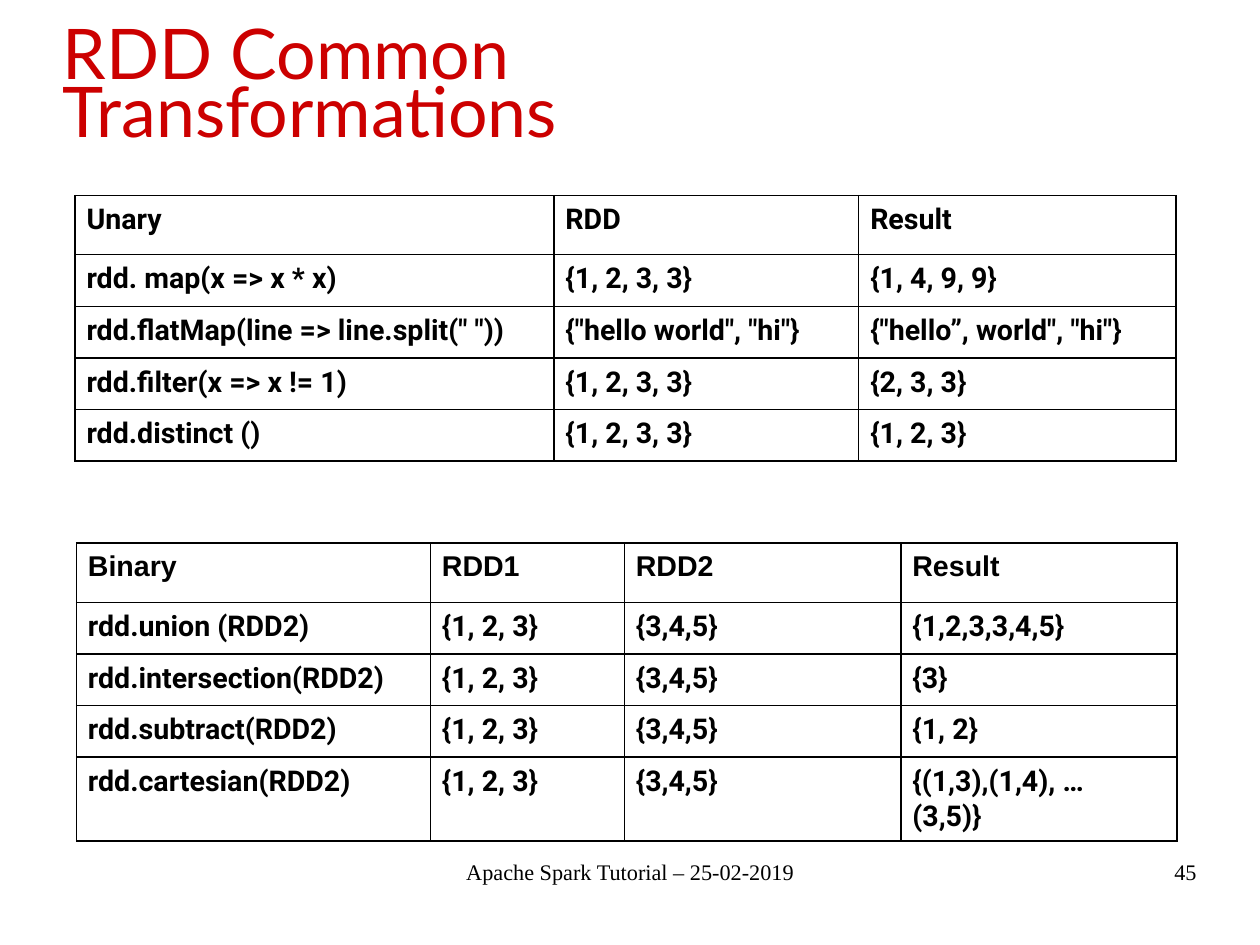
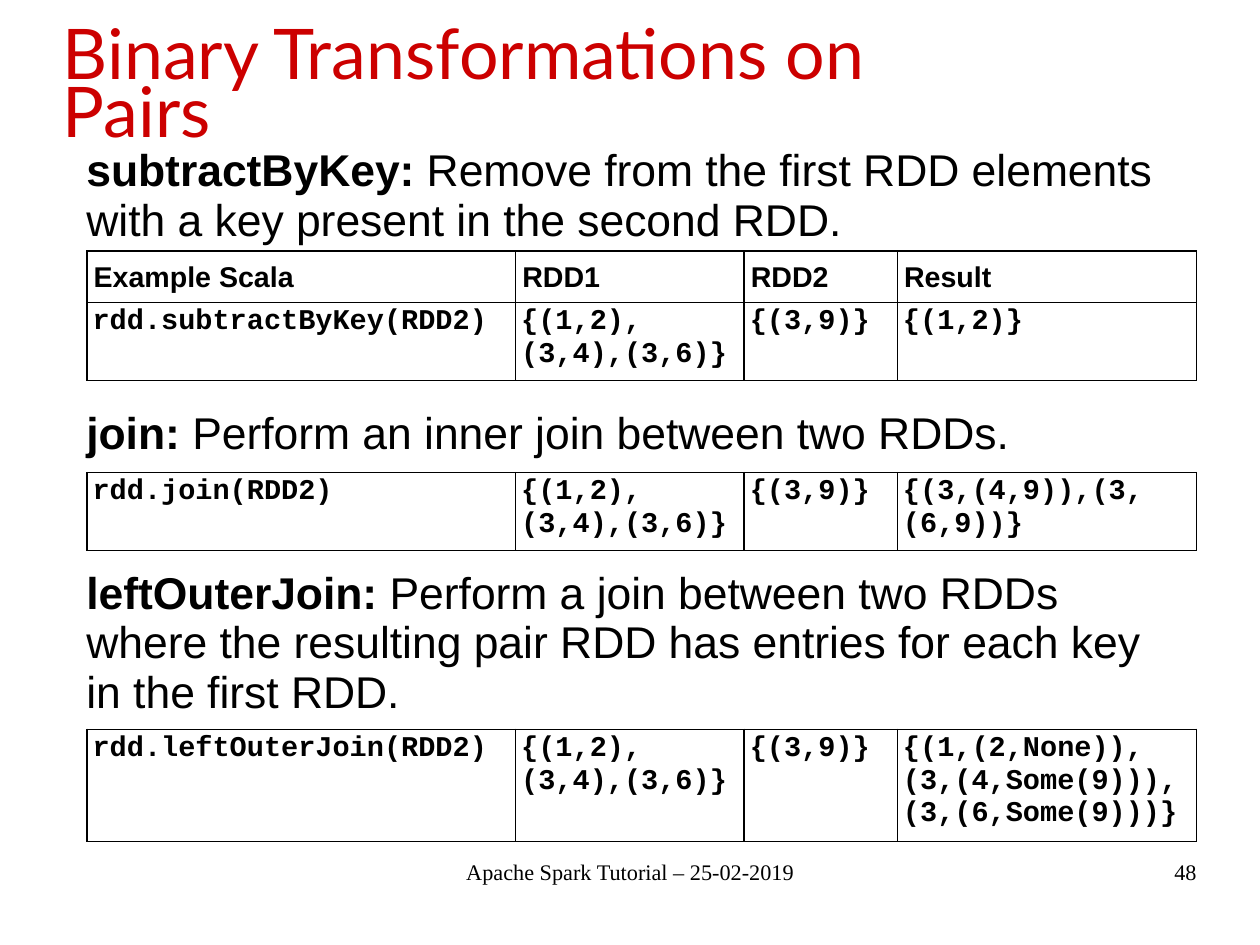
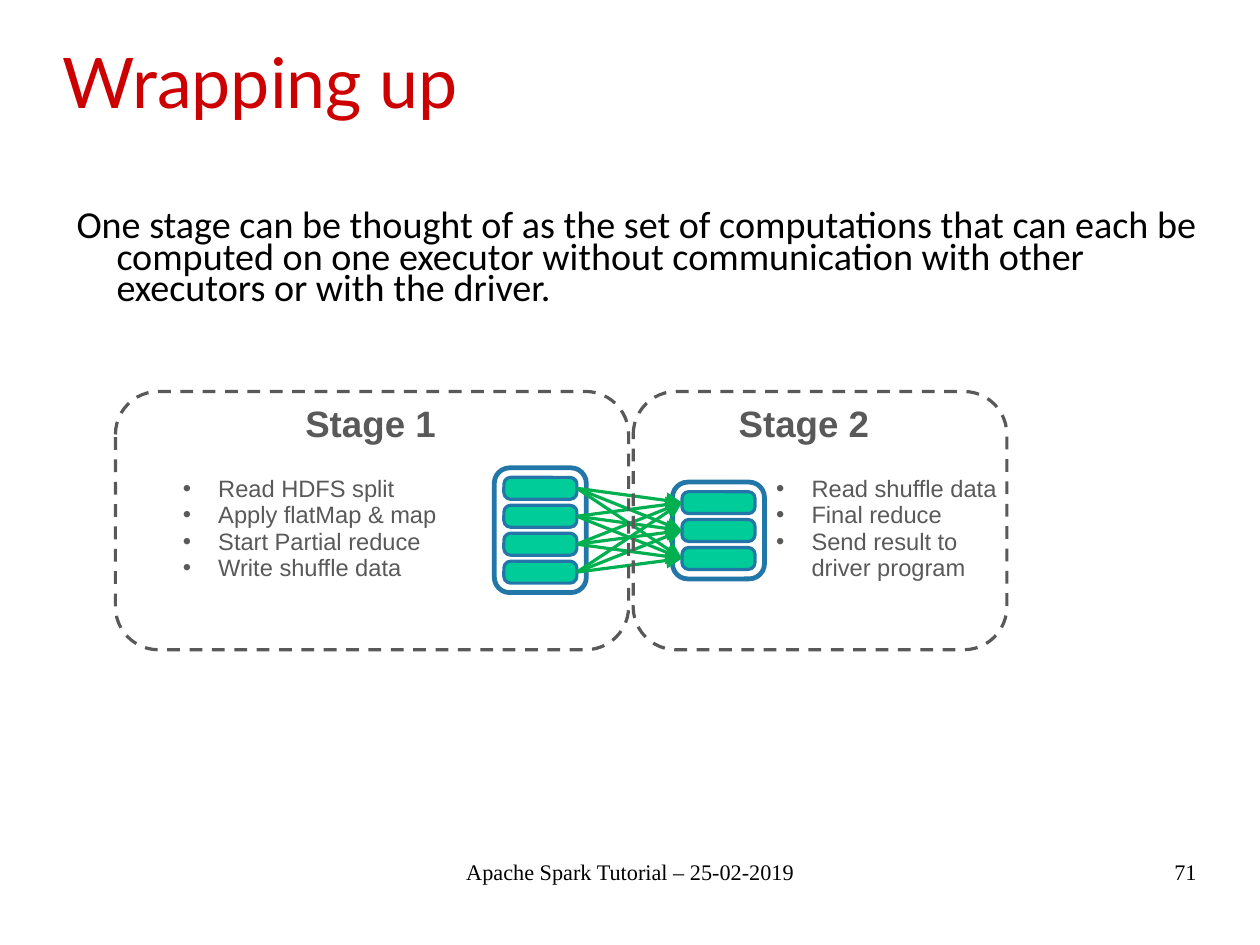
from lxml import etree
from pptx import Presentation
from pptx.dml.color import RGBColor
from pptx.enum import dml, shapes, text
from pptx.oxml import ns
from pptx.util import Pt

BLACK = RGBColor(0x00, 0x00, 0x00)
RED = RGBColor(0xCC, 0x00, 0x00)
GREY = RGBColor(0x59, 0x59, 0x59)
BLUE = RGBColor(0x22, 0x77, 0xA8)
MINT = RGBColor(0x00, 0xCC, 0x99)
GREEN = RGBColor(0x00, 0xB0, 0x50)

LEFT, CENTER, RIGHT = text.PP_ALIGN.LEFT, text.PP_ALIGN.CENTER, text.PP_ALIGN.RIGHT


def write(frame, paragraphs, font, size, color=BLACK, spacing=1.0, align=LEFT,
          indent=(0, 0), bullet=False):
    """Fill a frame; each paragraph is a list of (words, bold), "\\v" breaks a line."""
    for number, runs in enumerate(paragraphs):
        paragraph = frame.add_paragraph() if number else frame.paragraphs[0]
        props = paragraph._p.get_or_add_pPr()
        if any(indent):
            props.set("marL", str(Pt(indent[0])))
            props.set("indent", str(Pt(indent[1])))
        if bullet:
            tint = etree.SubElement(props, ns.qn("a:buClr"))
            etree.SubElement(tint, ns.qn("a:srgbClr"), val=str(color))
            etree.SubElement(props, ns.qn("a:buFont"), typeface=font)
            etree.SubElement(props, ns.qn("a:buChar"), char="•")
        paragraph.alignment = align
        paragraph.line_spacing = spacing
        for words, bold in runs:
            for line, part in enumerate(words.split("\v")):
                if line:
                    paragraph.add_line_break()
                run = paragraph.add_run()
                run.text = part
                run.font.name, run.font.size, run.font.bold = font, Pt(size), bold
                run.font.color.rgb = color


def text_box(slide, at, paragraphs, *style, insets=(0, 0), **options):
    """Add a wrapping text box; insets are (sides, top and bottom)."""
    frame = slide.shapes.add_textbox(*map(Pt, at)).text_frame
    frame.word_wrap = True
    frame.margin_left = frame.margin_right = Pt(insets[0])
    frame.margin_top = frame.margin_bottom = Pt(insets[1])
    write(frame, paragraphs, *style, **options)


prs = Presentation()
prs.slide_width, prs.slide_height = Pt(793.7), Pt(595.28)

# Title, footer and page number of every slide
pages = []
for heading, page_number in [("RDD Common \vTransformations", "45"),
                             ("Binary Transformations on \vPairs", "48"),
                             ("Wrapping up", "71")]:
    slide = prs.slides.add_slide(prs.slide_layouts[5])
    title = slide.shapes.title
    title.left, title.top, title.width, title.height = map(Pt, (39.6, 0.7, 714.2, 99.4))
    frame = title.text_frame
    frame.auto_size = text.MSO_AUTO_SIZE.NONE
    frame.vertical_anchor = text.MSO_ANCHOR.MIDDLE
    frame.margin_left = frame.margin_right = frame.margin_bottom = 0
    frame.margin_top = Pt(13.7)
    write(frame, [[(heading, False)]], "Lato", 44, RED, 0.69)
    text_box(slide, (271.4, 540.5, 251.3, 41), [[("Apache Spark Tutorial – 25-02-2019", False)]],
             "Times New Roman", 14, align=CENTER)
    text_box(slide, (568.8, 540.5, 185, 41), [[(page_number, False)]],
             "Times New Roman", 14, align=RIGHT)
    pages.append(slide)
common, pairs, wrap_up = pages

# Descriptions of the operations on pairs
for top, height, operation, meaning in [
        (89, 70, "subtractByKey:",
         " Remove from the first RDD elements with a key present in the second RDD."),
        (254.5, 40, "join:", " Perform an inner join between two RDDs."),
        (355.3, 100, "leftOuterJoin:",
         " Perform a join between two RDDs where the resulting pair RDD has entries "
         "for each key in the first RDD.")]:
    text_box(pairs, (47.3, top, 706.3, height), [[(operation, True), (meaning, False)]],
             "Arial", 28, spacing=0.93, insets=(7.2, 3.6))

# Tables: cell styles are font, line spacing, side, top and bottom inset
ROBOTO = ("Roboto", 1.06, 7.2, 3.6, 3.6)
ARIAL = ("Arial", 1.06, 7.2, 3.6, 3.6)
ARIAL_TIGHT = ("Arial", 1.1, 4.3, 4.3, 4.3)
CODE = ("Courier New", 1.0, 3.6, 2.3, 3.6)
PAIR_COLUMNS = (270, 144, 96.5, 188.6)
FIRST, SECOND = "{(1,2),(3,4),(3,6)}", "{(3,9)}"

tables = [
    (common, 47.3, 123.1, (301.7, 192, 199.8), (37.4, 32.5, 32.5, 32.5, 32.5), ROBOTO, ROBOTO, [
        ("Unary", "RDD", "Result"),
        ("rdd. map(x => x * x)", "{1, 2, 3, 3}", "{1, 4, 9, 9}"),
        ('rdd.flatMap(line => line.split(" "))', '{"hello world", "hi"}',
         '{"hello”, world", "hi"}'),
        ("rdd.filter(x => x != 1)", "{1, 2, 3, 3}", "{2, 3, 3}"),
        ("rdd.distinct ()", "{1, 2, 3, 3}", "{1, 2, 3}")]),
    (common, 48.2, 342, (223, 122.2, 174.2, 174), (37.4, 32.5, 32.5, 32.5, 52.5), ARIAL, ROBOTO, [
        ("Binary", "RDD1", "RDD2", "Result"),
        ("rdd.union (RDD2)", "{1, 2, 3}", "{3,4,5}", "{1,2,3,3,4,5}"),
        ("rdd.intersection(RDD2)", "{1, 2, 3}", "{3,4,5}", "{3}"),
        ("rdd.subtract(RDD2)", "{1, 2, 3}", "{3,4,5}", "{1, 2}"),
        ("rdd.cartesian(RDD2)", "{1, 2, 3}", "{3,4,5}", "{(1,3),(1,4), … \v(3,5)}")]),
    (pairs, 54.7, 158.2, PAIR_COLUMNS, (31.6, 47.9), ARIAL_TIGHT, CODE, [
        ("Example Scala", "RDD1", "RDD2", "Result"),
        ("rdd.subtractByKey(RDD2)", FIRST, SECOND, "{(1,2)}")]),
    (pairs, 54.7, 297.6, PAIR_COLUMNS, (47.9,), CODE, CODE, [
        ("rdd.join(RDD2)", FIRST, SECOND, "{(3,(4,9)),(3,(6,9))}")]),
    (pairs, 54.7, 459.4, PAIR_COLUMNS, (68.2,), CODE, CODE, [
        ("rdd.leftOuterJoin(RDD2)", FIRST, SECOND,
         "{(1,(2,None)),\n(3,(4,Some(9))),\n(3,(6,Some(9)))}")]),
]
for slide, left, top, widths, heights, head_style, body_style, rows in tables:
    grid = slide.shapes.add_table(len(rows), len(widths), Pt(left), Pt(top),
                                  Pt(sum(widths)), Pt(sum(heights))).table
    grid.first_row = grid.horz_banding = False
    for column, width in zip(grid.columns, widths):
        column.width = Pt(width)
    for r, values in enumerate(rows):
        grid.rows[r].height = Pt(heights[r])
        font, spacing, side, above, below = body_style if r else head_style
        for c, value in enumerate(values):
            cell = grid.cell(r, c)
            cell.margin_left = cell.margin_right = Pt(side)
            cell.margin_top, cell.margin_bottom = Pt(above), Pt(below)
            cell.fill.background()
            write(cell.text_frame, [[(line, True)] for line in value.split("\n")],
                  font, 18, spacing=spacing)
            cell_props = cell._tc.get_or_add_tcPr()
            for place, edge in enumerate(("a:lnL", "a:lnR", "a:lnT", "a:lnB")):
                border = etree.Element(ns.qn(edge), w=str(Pt(1)))
                ink = etree.SubElement(border, ns.qn("a:solidFill"))
                etree.SubElement(ink, ns.qn("a:srgbClr"), val=str(BLACK))
                cell_props.insert(place, border)

# Definition of a stage
text_box(wrap_up, (39.6, 134.6, 718.6, 100),
         [[("One stage can be thought of as the set of computations that can each be "
            "computed on one executor without communication with other executors or "
            "with the driver.", False)]],
         "Calibri", 24, spacing=0.69, indent=(33.8, -25.2))

# Partitions of both stages, each group in a frame
PART_W, PART_H, PART_STEP, PAD = 46, 13.8, 17.6, 6
partitions = []
for left, top, count in [(317.4, 300.7, 4), (429.6, 309.7, 3)]:
    group_h = (count - 1) * PART_STEP + PART_H
    boxes = [(left - PAD, top - PAD, PART_W + 2 * PAD, group_h + 2 * PAD)]
    boxes += [(left, top + i * PART_STEP, PART_W, PART_H) for i in range(count)]
    group = []
    for i, at in enumerate(boxes):
        box = wrap_up.shapes.add_shape(shapes.MSO_SHAPE.ROUNDED_RECTANGLE, *map(Pt, at))
        box.shadow.inherit = False
        box.line.color.rgb = BLUE
        box.line.width = Pt(2 if i else 3)
        if i:
            box.adjustments[0] = 0.31
            box.fill.solid()
            box.fill.fore_color.rgb = MINT
            group.append(box)
        else:
            box.fill.background()
    partitions.append(group)

# Shuffle: every partition of stage 1 feeds every one of stage 2
for source in partitions[0]:
    for target in partitions[1]:
        arrow = wrap_up.shapes.add_connector(shapes.MSO_CONNECTOR.STRAIGHT, 0, 0, 0, 0)
        arrow.begin_connect(source, 3)
        arrow.end_connect(target, 1)
        arrow.line.color.rgb = GREEN
        arrow.line.width = Pt(2)
        etree.SubElement(arrow.line._get_or_add_ln(), ns.qn("a:tailEnd"),
                         type="triangle", w="lg", len="lg")
        etree.SubElement(arrow._element.spPr, ns.qn("a:effectLst"))

# Stage outlines, names and steps
for left, width, name, name_left, name_top, steps_left, steps_width, steps in [
        (72.7, 323.3, "Stage 1", 186.5, 251.8, 109.4, 189.4,
         ["Read HDFS split", "Apply flatMap & map", "Start Partial reduce",
          "Write shuffle data"]),
        (398.9, 235.4, "Stage 2", 459.4, 252.4, 483.1, 154.8,
         ["Read shuffle data", "Final reduce", "Send result to driver program"])]:
    outline = wrap_up.shapes.add_shape(shapes.MSO_SHAPE.ROUNDED_RECTANGLE,
                                       *map(Pt, (left, 246.6, width, 162.7)))
    outline.shadow.inherit = False
    outline.fill.background()
    outline.line.color.rgb = GREY
    outline.line.width = Pt(2)
    outline.line.dash_style = dml.MSO_LINE.DASH
    text_box(wrap_up, (name_left, name_top, 95, 33.8), [[(name, True)]],
             "Arial", 23.1, GREY, 0.93, insets=(5.8, 2.9))
    text_box(wrap_up, (steps_left, 297, steps_width, 78.5), [[(step, False)] for step in steps],
             "Arial", 14.9, GREY, 0.93, indent=(22.3, -22.3), bullet=True, insets=(5.8, 2.9))

prs.save("out.pptx")
